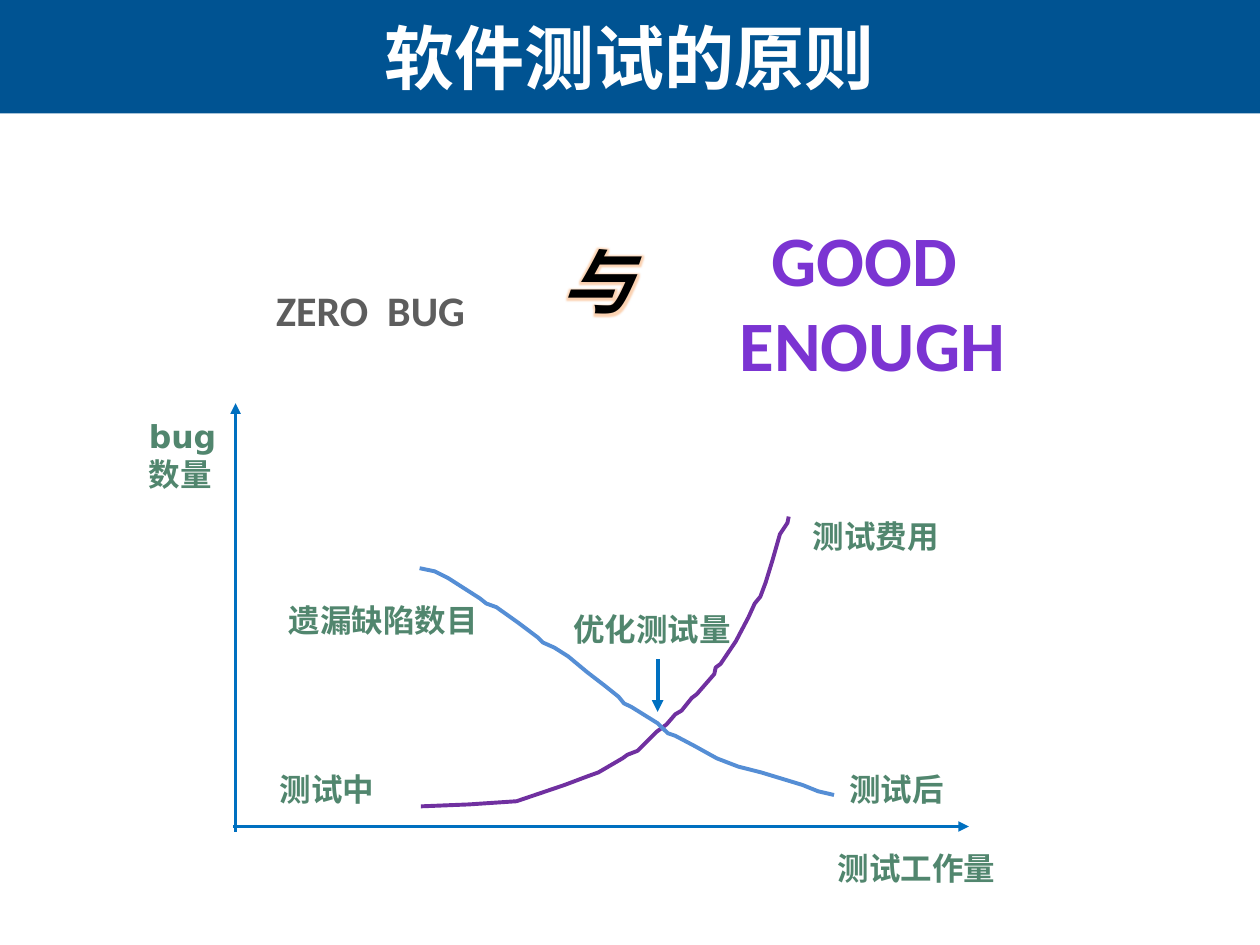
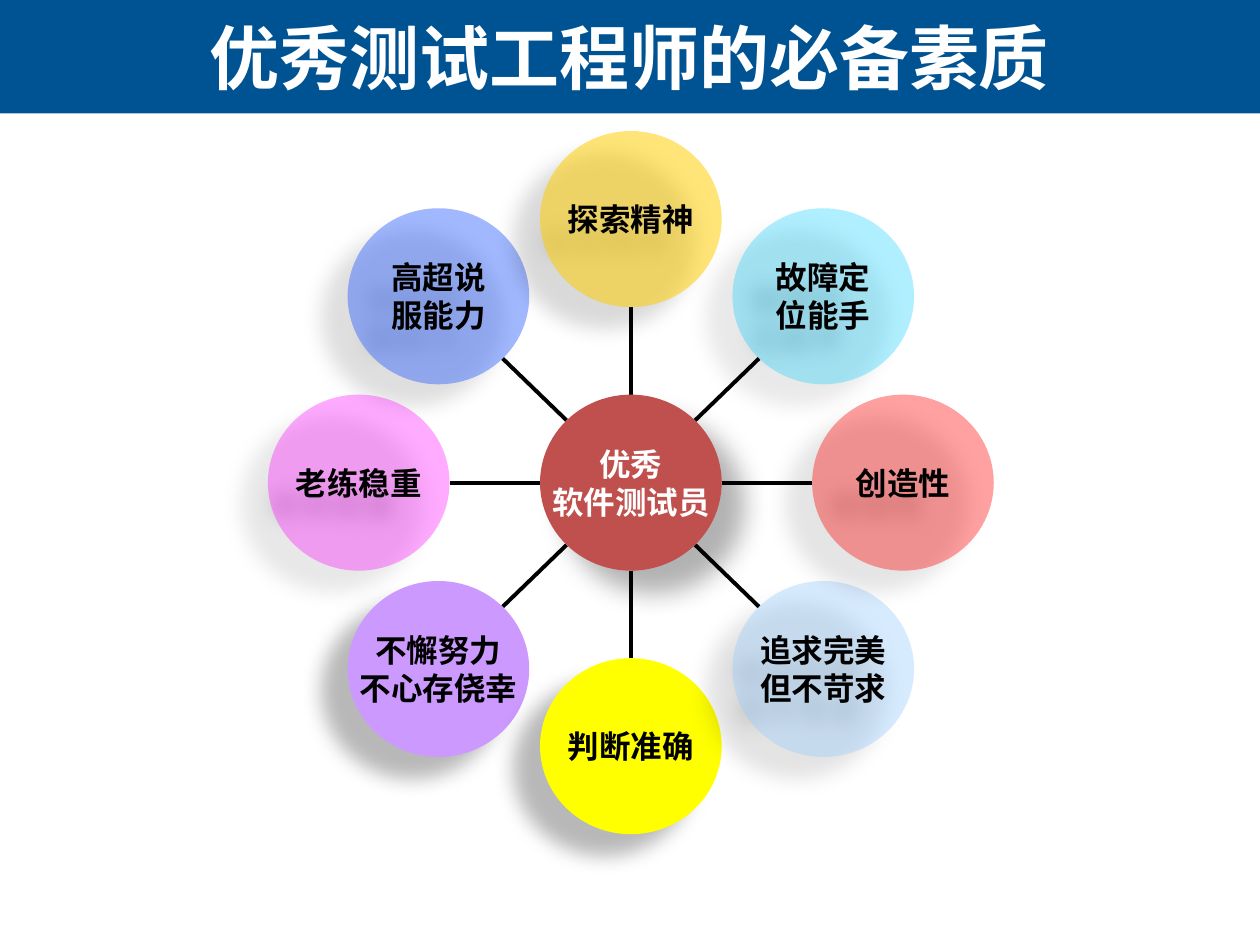
"""Build two slides on software testing: the cost curve and the tester's qualities."""
from math import cos, radians, sin

from lxml import etree
from pptx import Presentation
from pptx import util as u
from pptx.dml.color import RGBColor
from pptx.enum import shapes, text
from pptx.oxml.ns import qn

WHITE = RGBColor(0xFF, 0xFF, 0xFF)
BLACK = RGBColor(0, 0, 0)
BAND_BLUE = RGBColor(0x00, 0x53, 0x92)
AXIS_BLUE = RGBColor(0x00, 0x70, 0xC0)
LABEL_GREEN = RGBColor(0x51, 0x86, 0x6E)
COST_PURPLE = RGBColor(0x70, 0x30, 0xA0)
DEFECT_BLUE = RGBColor(0x55, 0x8E, 0xD5)
SLOGAN_PURPLE = RGBColor(0x7B, 0x34, 0xD2)
SLOGAN_GREY = RGBColor(0x5D, 0x5D, 0x5D)
GLOW_ORANGE = RGBColor(0xFB, 0xC8, 0xA0)
HUB_RED = RGBColor(0xC0, 0x50, 0x4D)

CJK = "Noto Sans CJK SC"
CENTER, JUSTIFY, LEFT = (text.PP_ALIGN.CENTER, text.PP_ALIGN.JUSTIFY, text.PP_ALIGN.LEFT)

TITLES = [("软件测试的原则", CJK), ("优秀测试工程师的必备素质", "Arial")]

LABELS = [
    ("bug数量", 85, 238.3, 46.8, 193.7, LEFT),
    ("测试工作量", 478.8, 485.3, 107.3, 31, JUSTIFY),
    ("测试中", 159.8, 439.9, 66.2, 27.4, JUSTIFY),
    ("测试后", 485.3, 439.9, 62.6, 31, JUSTIFY),
    ("测试费用", 464.4, 295.2, 108, 32.4, JUSTIFY),
    ("遗漏缺陷数目", 164.9, 343.4, 113, 31, JUSTIFY),
    ("优化测试量", 327.6, 348.5, 109.4, 28.1, JUSTIFY),
]
ARROWS = [
    (134.6, 475.2, 134.6, 230.4, 2),
    (133.2, 472.3, 553.7, 472.3, 2),
    (375.8, 376.6, 375.8, 406.8, 2.25),
]
CURVES = [
    (COST_PURPLE, [
        (240.5, 460.8), (268, 459.7), (295.2, 457.9), (322.6, 448.6), (336.2, 443.5),
        (342, 441.4), (355.7, 433.4), (358.6, 431.3), (364.3, 429.1), (375.1, 418.3),
        (380.9, 414), (385.9, 408.2), (389.5, 406.1), (395.3, 398.9), (398.2, 396.7),
        (408.2, 385.2), (409, 381.5), (411.8, 379.4), (420.5, 366.5), (427.7, 352.8),
        (431.3, 344.9), (434.5, 341), (437.5, 333), (441.4, 320.4), (445.7, 305.3),
        (450, 298.8), (450.7, 295.2)]),
    (DEFECT_BLUE, [
        (239.8, 324.7), (248.4, 326.5), (256.3, 330.5), (274.3, 342), (277.9, 344.9),
        (283.7, 347), (295.9, 355.7), (307.4, 364.3), (310.3, 367.2), (316.8, 370.1),
        (324.7, 375.1), (335.5, 384.1), (346.3, 392.4), (353.5, 398.2), (356.6, 402),
        (360.7, 403.9), (375.8, 413.3), (381.6, 419), (385.9, 420.5), (396.7, 426.2),
        (409.7, 433.4), (421.9, 438.1), (434.9, 441.4), (458.6, 448.6), (467.5, 452.2),
        (476.6, 454.3)]),
]
SLOGANS = [
    (["GOOD ", "ENOUGH"], 379.4, 119.5, 238.3, 105.1, SLOGAN_PURPLE, 40.5, True),
    (["ZERO  BUG"], 149.8, 159.1, 123.8, 36, SLOGAN_GREY, 24, False),
]
VERSUS = (["与"], 313.2, 132.5, 56.2, 56.2, BLACK, 40.5, False)

HUB = ["优秀", "软件测试员"]
QUALITIES = [
    (["高超说", "服能力"], RGBColor(0x33, 0x66, 0xFF), 46),
    (["老练稳重"], RGBColor(0xFF, 0x00, 0xFF), 33),
    (["不懈努力", "不心存侥幸"], RGBColor(0xCC, 0x99, 0xFF), 100),
    (["判断准确"], RGBColor(0xFF, 0xFF, 0x00), 100),
    (["追求完美", "但不苛求"], RGBColor(0x99, 0xCC, 0xFF), 39),
    (["创造性"], RGBColor(0xFF, 0x00, 0x00), 37),
    (["故障定", "位能手"], RGBColor(0x00, 0xCC, 0xFF), 31),
    (["探索精神"], RGBColor(0xFF, 0xCC, 0x00), 53),
]
WHEEL_CENTER = (360.5, 275.8)
RING_RADII = (155.5, 150.6)
DISC_RADII = (51.9, 50.3)
FIRST_ANGLE = 225
QUALITY_SHADOW = {"blurRad": 11.8, "dist": 19.7, "angle": 141, "alpha": 28}
HUB_SHADOW = {"blurRad": 15, "dist": 18, "angle": 45, "alpha": 30}


def points(*values):
    return [u.Pt(value) for value in values]


def set_all(target, values):
    for name, value in values.items():
        setattr(target, name, value)


def add_alpha(color_element, percent):
    etree.SubElement(color_element, qn("a:alpha"), val=str(percent * 1000))


def add_effect(parent, kind, color, alpha, **attributes):
    effects = etree.SubElement(parent, qn("a:effectLst"))
    effect = etree.SubElement(effects, qn(f"a:{kind}"), **attributes)
    add_alpha(etree.SubElement(effect, qn("a:srgbClr"), val=str(color)), alpha)
    return effects


def write(frame, lines, font, color, size, align=CENTER, wrap=True, inset=None,
          anchor=text.MSO_ANCHOR.TOP):
    set_all(frame, {"word_wrap": wrap, "vertical_anchor": anchor})
    if inset is not None:
        set_all(frame, {f"margin_{side}": u.Pt(inset)
                        for side in ("left", "right", "top", "bottom")})
    for index, line in enumerate(lines):
        paragraph = frame.paragraphs[0] if index == 0 else frame.add_paragraph()
        paragraph.alignment = align
        run = paragraph.add_run()
        run.text = line
        set_all(run.font, {"name": font, "size": u.Pt(size), "bold": True})
        run.font.color.rgb = color
        latin = run.font._element.find(qn("a:latin"))
        latin.addnext(latin.makeelement(qn("a:ea"), {"typeface": CJK}))


def add_line(slide, x1, y1, x2, y2, color, width, arrow=False):
    line = slide.shapes.add_connector(shapes.MSO_CONNECTOR.STRAIGHT, *points(x1, y1, x2, y2))
    set_all(line.line, {"width": u.Pt(width)})
    line.line.color.rgb = color
    if arrow:
        etree.SubElement(line.line._get_or_add_ln(), qn("a:tailEnd"), type="triangle")
    etree.SubElement(line.element.spPr, qn("a:effectLst"))


def add_band(slide, width):
    band = slide.shapes.add_shape(shapes.MSO_SHAPE.RECTANGLE, 0, 0, width, u.Pt(64.8))
    band.shadow.inherit = False
    band.fill.solid()
    band.fill.fore_color.rgb = BAND_BLUE
    band.line.fill.background()
    slide.slide_layout.shapes[0].element.addprevious(band.element)


def add_titled_slide(presentation, title, font):
    slide = presentation.slides.add_slide(presentation.slide_layouts[5])
    shape = slide.shapes.title
    set_all(shape, dict(zip(("left", "top", "width", "height"), points(-0.7, 0, 720.7, 64.8))))
    write(shape.text_frame, [title], font, WHITE, 40, anchor=text.MSO_ANCHOR.MIDDLE)
    return slide


def add_slogan(slide, lines, left, top, width, height, color, size, wrap):
    box = slide.shapes.add_textbox(*points(left, top, width, height))
    write(box.text_frame, lines, "Calibri", color, size, wrap=wrap)
    return box.text_frame.paragraphs[0].runs[0]


def draw_cost_curve(slide):
    for *ends, width in ARROWS:
        add_line(slide, *ends, AXIS_BLUE, width, arrow=True)
    for color, nodes in CURVES:
        start, *rest = [points(*node) for node in nodes]
        builder = slide.shapes.build_freeform(*start)
        builder.add_line_segments(rest, close=False)
        curve = builder.convert_to_shape()
        curve.shadow.inherit = False
        curve.fill.background()
        curve.line.color.rgb = color
        curve.line.width = u.Pt(2.25)
    for label, *place, align in LABELS:
        box = slide.shapes.add_textbox(*points(*place))
        write(box.text_frame, [label], "DejaVu Sans", LABEL_GREEN, 18, align, inset=0)
    for slogan in SLOGANS:
        add_slogan(slide, *slogan)
    versus = add_slogan(slide, *VERSUS)
    versus.font.italic = True
    properties = versus.font._element
    glow = add_effect(properties, "glow", GLOW_ORANGE, 80, rad=str(u.Pt(5)))
    properties.find(qn("a:solidFill")).addnext(glow)


def add_disc(slide, lines, center, fill, alpha, shadow, color):
    corner = [middle - radius for middle, radius in zip(center, DISC_RADII)]
    disc = slide.shapes.add_shape(
        shapes.MSO_SHAPE.OVAL, *points(*corner, *(2 * radius for radius in DISC_RADII)))
    disc.fill.solid()
    disc.fill.fore_color.rgb = fill
    if alpha < 100:
        add_alpha(disc.element.spPr.find(f".//{qn('a:srgbClr')}"), alpha)
    disc.line.fill.background()
    add_effect(disc.element.spPr, "outerShdw", BLACK, shadow["alpha"],
               blurRad=str(u.Pt(shadow["blurRad"])), dist=str(u.Pt(shadow["dist"])),
               dir=str(shadow["angle"] * 60000), algn="ctr", rotWithShape="0")
    write(disc.text_frame, lines, CJK, color, 18, wrap=False, inset=0,
          anchor=text.MSO_ANCHOR.MIDDLE)


def draw_quality_wheel(slide):
    step = 360 / len(QUALITIES)
    for index, (lines, fill, alpha) in enumerate(QUALITIES):
        angle = radians(FIRST_ANGLE - index * step)
        direction = (cos(angle), sin(angle))

        def along(radii):
            return [c + r * d for c, r, d in zip(WHEEL_CENTER, radii, direction)]

        outer = [ring - disc for ring, disc in zip(RING_RADII, DISC_RADII)]
        add_line(slide, *along(DISC_RADII), *along(outer), BLACK, 2.25)
        add_disc(slide, lines, along(RING_RADII), fill, alpha, QUALITY_SHADOW, BLACK)
    add_disc(slide, HUB, WHEEL_CENTER, HUB_RED, 100, HUB_SHADOW, WHITE)


def main():
    presentation = Presentation()
    set_all(presentation, {"slide_width": u.Pt(720), "slide_height": u.Pt(540)})
    principle, qualities = [add_titled_slide(presentation, *title) for title in TITLES]
    add_band(principle, presentation.slide_width)
    draw_cost_curve(principle)
    draw_quality_wheel(qualities)
    presentation.save("out.pptx")


if __name__ == "__main__":
    main()
